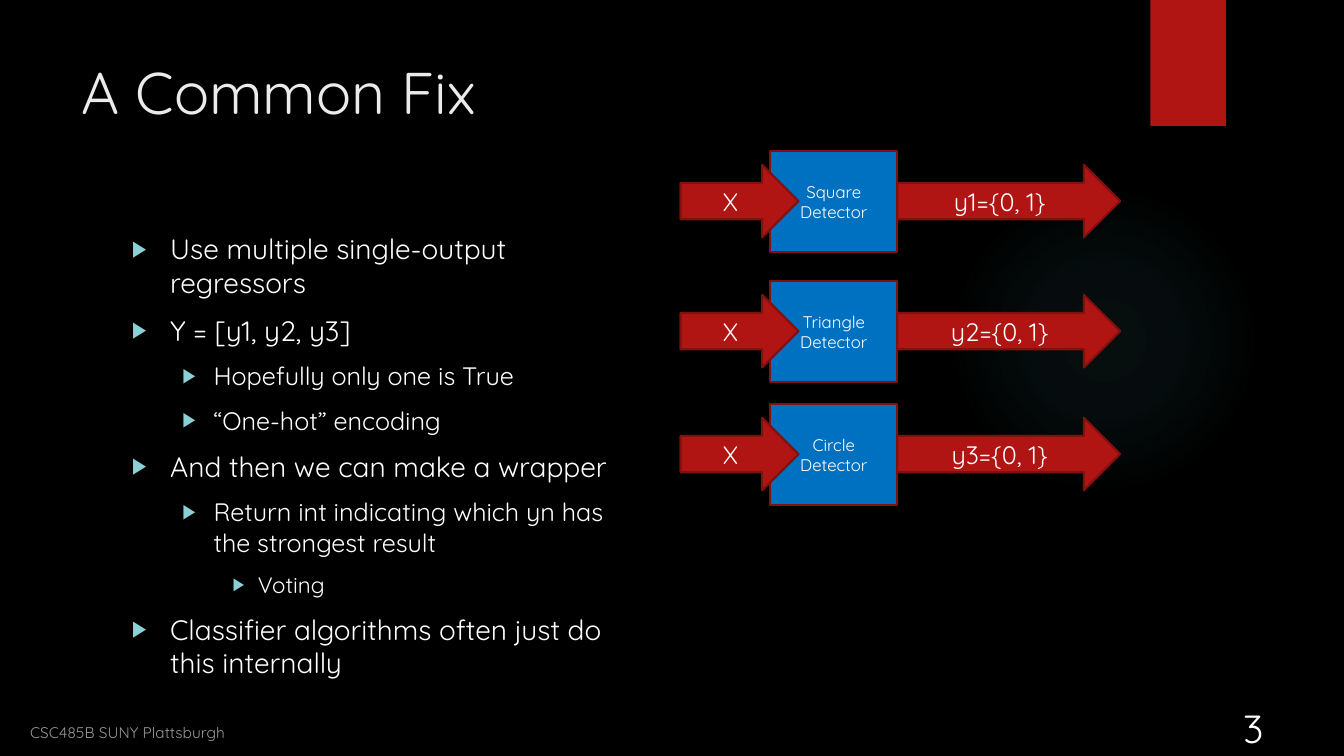
"""Build the slide about using several single-output detectors."""
from lxml import etree
from pptx import Presentation
from pptx.dml import color
from pptx.enum import shapes, text
from pptx.oxml import ns
from pptx.util import Inches, Pt

FONT = "Quicksand"
WHITE, RED, DARK_RED, BLUE, TEAL = "FFFFFF", "B01513", "82100E", "0070C0", "8AD0D6"
TITLE = "A Common Fix"
FOOTER = "CSC485B SUNY Plattsburgh"
PAGE_NUMBER = "3"
BULLETS = [
    (0, "Use multiple single-output regressors"),
    (0, "Y = [y1, y2, y3]"),
    (1, "Hopefully only one is True"),
    (1, "“One-hot” encoding"),
    (0, "And then we can make a wrapper"),
    (1, "Return int indicating which yn has the strongest result"),
    (2, "Voting"),
    (0, "Classifier algorithms often just do this internally"),
]
LEVELS = [(20, 0.38, 0.38), (18, 0.81, 0.31), (16, 1.25, 0.25)]
DETECTORS = [
    (1.5, "Square Detector", "y1={0, 1}"),
    (2.79, "Triangle Detector", "y2={0, 1}"),
    (4.01, "Circle Detector", "y3={0, 1}"),
]
GLOW_STOPS = [(0, 7), (36, 6), (69, 0)]


def rgb(value):
    return color.RGBColor.from_string(value)


def add_xml(parent, tag, **attributes):
    return etree.SubElement(parent, ns.qn(tag), attributes)


def style(para, size, tint=WHITE):
    for span in para.runs:
        span.font.name = FONT
        span.font.size = Pt(size)
        span.font.color.rgb = rgb(tint)


def add_text(page, area, words, size, tint=WHITE, anchor=text.MSO_ANCHOR.TOP,
             align=text.PP_ALIGN.LEFT):
    box = page.shapes.add_textbox(*map(Inches, area))
    frame = box.text_frame
    frame.word_wrap = True
    frame.vertical_anchor = anchor
    frame.text = words
    frame.paragraphs[0].alignment = align
    style(frame.paragraphs[0], size, tint)
    return box


def add_block(page, kind, area, fill, words="", size=18, outline=None):
    block = page.shapes.add_shape(kind, *map(Inches, area))
    block.shadow.inherit = False
    block.fill.solid()
    block.fill.fore_color.rgb = rgb(fill)
    if outline:
        block.line.color.rgb = rgb(outline)
        block.line.width = Pt(1.5)
    else:
        block.line.fill.background()
    if words:
        frame = block.text_frame
        frame.word_wrap = True
        frame.vertical_anchor = text.MSO_ANCHOR.MIDDLE
        frame.text = words
        frame.paragraphs[0].alignment = text.PP_ALIGN.CENTER
        style(frame.paragraphs[0], size)
    return block


def add_glow(page):
    glow = add_block(page, shapes.MSO_SHAPE.OVAL, (9.41, 1.83, 3.08, 3.08), "50B9C1")
    solid = glow.element.spPr.find(ns.qn("a:solidFill"))
    gradient = etree.Element(ns.qn("a:gradFill"), rotWithShape="1")
    stops = add_xml(gradient, "a:gsLst")
    for position, alpha in GLOW_STOPS:
        stop = add_xml(stops, "a:gs", pos=str(position * 1000))
        shade = add_xml(stop, "a:srgbClr", val="50B9C1")
        add_xml(shade, "a:alpha", val=str(alpha * 1000))
    center = add_xml(gradient, "a:path", path="circle")
    add_xml(center, "a:fillToRect", l="50000", t="50000", r="50000", b="50000")
    solid.getparent().replace(solid, gradient)


def add_bullets(page):
    frame = page.shapes.add_textbox(*map(Inches, (1.21, 2.25, 5.27, 4.59))).text_frame
    frame.word_wrap = True
    for index, (level, words) in enumerate(BULLETS):
        para = frame.add_paragraph() if index else frame.paragraphs[0]
        size, margin, hanging = LEVELS[level]
        para.text = words
        para.level = level
        para.space_before = Pt(10)
        style(para, size)
        props = para._p.get_or_add_pPr()
        props.set("marL", str(Inches(margin)))
        props.set("indent", str(-Inches(hanging)))
        add_xml(add_xml(props, "a:buClr"), "a:srgbClr", val=TEAL)
        add_xml(props, "a:buSzPct", val="80000")
        add_xml(props, "a:buFont", typeface="Arial")
        add_xml(props, "a:buChar", char="▶")


def add_detectors(page):
    arrow = shapes.MSO_SHAPE.RIGHT_ARROW
    for top, name, output in DETECTORS:
        arrow_top = top + 0.135
        add_block(page, shapes.MSO_SHAPE.RECTANGLE, (7.64, top, 1.26, 1),
                  BLUE, name, 12, DARK_RED)
        add_block(page, arrow, (6.75, arrow_top, 1.17, 0.72), RED, "X", 18, DARK_RED)
        add_block(page, arrow, (8.9, arrow_top, 2.21, 0.72), RED, output, 18, DARK_RED)


def main():
    deck = Presentation()
    deck.slide_width, deck.slide_height = Inches(13.33), Inches(7.5)
    page = deck.slides.add_slide(deck.slide_layouts[6])
    page.background.fill.solid()
    page.background.fill.fore_color.rgb = rgb("000000")
    add_glow(page)
    add_block(page, shapes.MSO_SHAPE.RECTANGLE, (11.41, 0, 0.75, 1.25), RED)
    add_text(page, (0.71, 0.5, 10.29, 1.53), TITLE, 42, "EBEBEB")
    add_bullets(page)
    footer = add_text(page, (0.2, 7.08, 4.22, 0.33), FOOTER, 11,
                      anchor=text.MSO_ANCHOR.BOTTOM)
    for tint in footer.element.iter(ns.qn("a:srgbClr")):
        add_xml(tint, "a:alpha", val="60000")
    add_text(page, (11.97, 6.66, 0.92, 0.84), PAGE_NUMBER, 28,
             anchor=text.MSO_ANCHOR.BOTTOM, align=text.PP_ALIGN.CENTER)
    add_detectors(page)
    deck.save("out.pptx")


if __name__ == "__main__":
    main()
